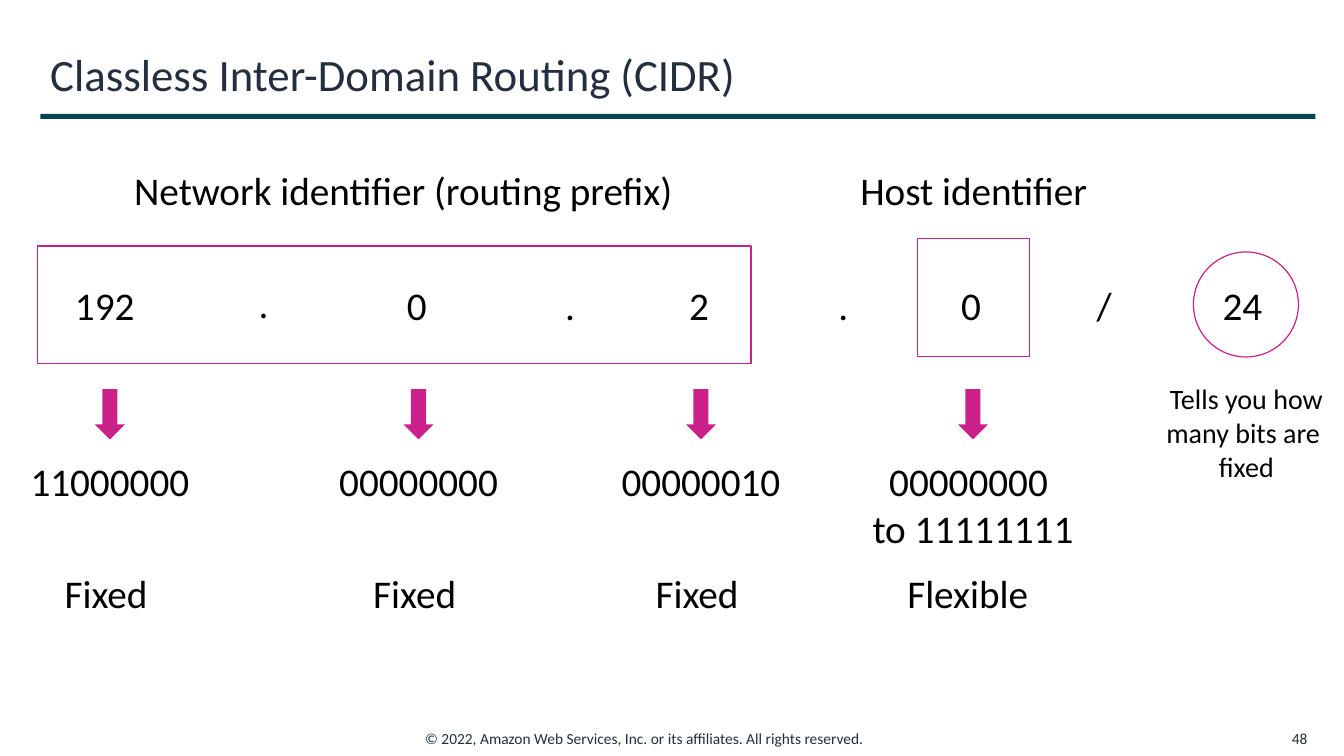
import pptx
import pptx.util
import pptx.dml.color
import pptx.enum.shapes
import pptx.enum.text

Pt = pptx.util.Pt
RGBColor = pptx.dml.color.RGBColor
SHAPE = pptx.enum.shapes.MSO_SHAPE
ALIGN = pptx.enum.text.PP_ALIGN
ANCHOR = pptx.enum.text.MSO_ANCHOR

BLACK = RGBColor(0x00, 0x00, 0x00)
INK = RGBColor(0x23, 0x2F, 0x3E)
TEAL = RGBColor(0x00, 0x46, 0x4F)
MAGENTA = RGBColor(0xC9, 0x20, 0x8A)

OCTETS = [
    (78.5, "192", 64, "11000000", 147, "Fixed", 79),
    (299, "0", 31, "00000000", 147, "Fixed", 79),
    (500.7, "2", 31, "00000010", 147, "Fixed", 79),
    (695, "0", 31, "00000000 \nto 11111111", 181, "Flexible", 108),
]
SEPARATORS = [(188.2, 196, "."), (407.2, 197.3, "."), (602.3, 197.3, "."), (788.8, 197.3, "/")]


class Deck:
    font = "Calibri"

    def __init__(self, width, height):
        self.prs = pptx.Presentation()
        self.prs.slide_width, self.prs.slide_height = Pt(width), Pt(height)
        self.s = self.prs.slides.add_slide(self.prs.slide_layouts[6])

    def text(self, text, x, y, w, h=41.2, size=28, color=BLACK,
             align=ALIGN.CENTER, anchor=ANCHOR.TOP):
        tf = self.s.shapes.add_textbox(Pt(x), Pt(y), Pt(w), Pt(h)).text_frame
        tf.word_wrap = True
        tf.vertical_anchor = anchor
        p = tf.paragraphs[0]
        p.alignment = align
        p.text = text
        for r in p.runs:
            r.font.name = self.font
            r.font.size = Pt(size)
            r.font.color.rgb = color

    def shape(self, kind, x, y, w, h, fill=None, line=None):
        sp = self.s.shapes.add_shape(kind, Pt(x), Pt(y), Pt(w), Pt(h))
        sp.shadow.inherit = False
        if fill is None:
            sp.fill.background()
        else:
            sp.fill.solid()
            sp.fill.fore_color.rgb = fill
        if line is None:
            sp.line.fill.background()
        else:
            sp.line.color.rgb = line
            sp.line.width = Pt(0.85)


def main():
    deck = Deck(960, 540)
    deck.text("© 2022, Amazon Web Services, Inc. or its affiliates. All rights reserved.",
              296.6, 517, 366.5, 20.6, size=11, color=INK, align=ALIGN.LEFT)
    deck.text("48", 903, 517, 38, 20.6, size=11, color=INK,
              align=ALIGN.RIGHT, anchor=ANCHOR.MIDDLE)
    deck.text("Classless Inter-Domain Routing (CIDR)", 28.8, 23.8, 910.8, 57.6,
              size=32, color=INK, align=ALIGN.LEFT, anchor=ANCHOR.MIDDLE)
    deck.shape(SHAPE.RECTANGLE, 28.8, 81.4, 910.8, 3.6, fill=TEAL)

    deck.text("Network identifier (routing prefix)", 74.2, 115.2, 427.7)
    deck.text("Host identifier", 600.5, 115.2, 190)
    deck.shape(SHAPE.RECTANGLE, 26.6, 175.7, 509.8, 84.2, line=MAGENTA)
    deck.shape(SHAPE.RECTANGLE, 655.2, 170.6, 80, 84.2, line=MAGENTA)
    deck.shape(SHAPE.OVAL, 852.5, 180, 75, 75, line=MAGENTA)

    for center, value, value_w, bits, bits_w, state, state_w in OCTETS:
        deck.text(value, center - value_w / 2, 197.3, value_w, align=ALIGN.LEFT)
        deck.shape(SHAPE.DOWN_ARROW, center - 10.8, 277.9, 21.6, 36, fill=MAGENTA)
        deck.text(bits, center - bits_w / 2, 323.3, bits_w)
        deck.text(state, center - state_w / 2, 403.2, state_w, align=ALIGN.LEFT)

    for center, top, mark in SEPARATORS:
        deck.text(mark, center - 32, top, 64)

    deck.text("24", 866.2, 197.3, 47.5, align=ALIGN.LEFT)
    deck.text("Tells you how\nmany bits are \nfixed", 825.1, 269.3, 130.3, 80, size=20)
    deck.prs.save("out.pptx")


if __name__ == "__main__":
    main()
